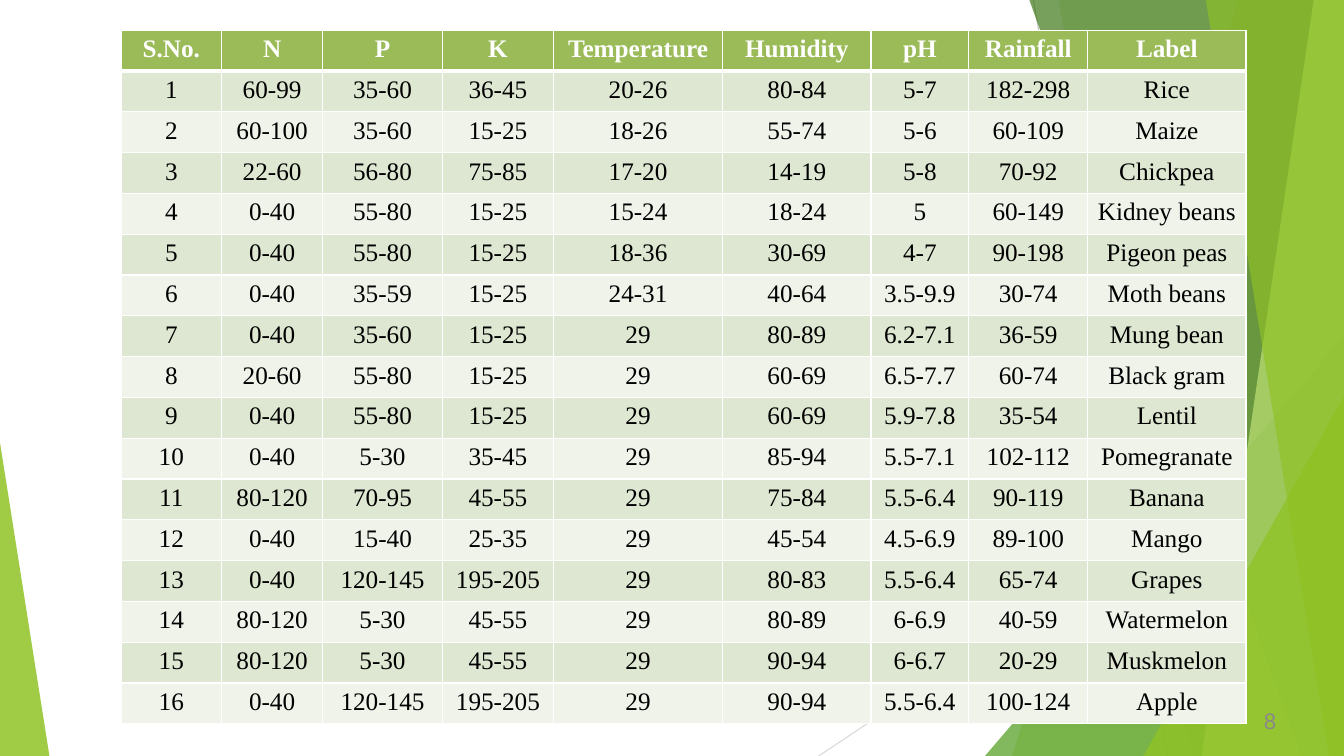
from lxml import etree
from pptx import Presentation
from pptx import util as u
from pptx.dml.color import RGBColor
from pptx.enum import shapes, text
from pptx.oxml.ns import qn

WHITE = RGBColor(0xFF, 0xFF, 0xFF)
BLACK = RGBColor(0, 0, 0)
SILVER = RGBColor(0xBE, 0xBE, 0xBE)
PALE_GRAY = RGBColor(0xD9, 0xD9, 0xD9)
NUMBER_GRAY = RGBColor(0x89, 0x89, 0x89)
LIME = RGBColor(0x90, 0xC2, 0x25)
GREEN = RGBColor(0x53, 0x9F, 0x20)
DARK_GREEN = RGBColor(0x3E, 0x78, 0x18)
LIGHT_LIME = RGBColor(0xC0, 0xE3, 0x74)
HEADER_GREEN = RGBColor(0x9B, 0xBB, 0x59)
BAND_DARK = RGBColor(0xDE, 0xE7, 0xD1)
BAND_LIGHT = RGBColor(0xEF, 0xF3, 0xEA)

presentation = Presentation()
presentation.slide_width = u.Inches(13.33)
presentation.slide_height = u.Inches(7.5)
slide = presentation.slides.add_slide(presentation.slide_layouts[6])


def place(x, y):
    return (round(presentation.slide_width * x / 100),
            round(presentation.slide_height * y / 100))


def add_border(properties, side, points):
    line = etree.SubElement(properties, qn("a:" + side), w=str(u.Pt(points)))
    fill = etree.SubElement(line, qn("a:solidFill"))
    etree.SubElement(fill, qn("a:srgbClr"), val=str(WHITE))


for start, end, color in [
    ((76.89, 0), (86.87, 100), SILVER),
    ((100, 53.73), (60.92, 100), PALE_GRAY),
]:
    line = slide.shapes.add_connector(
        shapes.MSO_CONNECTOR.STRAIGHT, *place(*start), *place(*end))
    line.line.color.rgb = color
    line.line.width = u.Pt(0.75)
    etree.SubElement(line._element.spPr, qn("a:effectLst"))

TOP_RIGHT, BOTTOM_RIGHT = (100, 0), (100, 100)
for corners, color, opacity in [
    ([TOP_RIGHT, (92.12, 0), (75.32, 100), BOTTOM_RIGHT], LIME, 30),
    ([TOP_RIGHT, (78.77, 0), (88.67, 100), BOTTOM_RIGHT], LIME, 20),
    ([(100, 44.4), (73.29, 100), BOTTOM_RIGHT], GREEN, 72),
    ([TOP_RIGHT, (76.59, 0), (96.85, 100), BOTTOM_RIGHT], DARK_GREEN, 70),
    ([TOP_RIGHT, (97.75, 0), (89.42, 100), BOTTOM_RIGHT], LIGHT_LIME, 70),
    ([TOP_RIGHT, (89.72, 0), (98.87, 100), BOTTOM_RIGHT], LIME, 65),
    ([(100, 52.4), (85.07, 100), BOTTOM_RIGHT], LIME, 80),
    ([(0, 58.53), (0, 100), (3.68, 100)], LIME, 85),
]:
    points = [place(*corner) for corner in corners]
    builder = slide.shapes.build_freeform(*points[0])
    builder.add_line_segments(points[1:], close=True)
    facet = builder.convert_to_shape()
    facet.shadow.inherit = False
    facet.line.fill.background()
    facet.fill.solid()
    facet.fill.fore_color.rgb = color
    color_element = facet._element.spPr.find(qn("a:solidFill"))[0]
    etree.SubElement(color_element, qn("a:alpha"), val=str(opacity * 1000))

HEADER = ["S.No.", "N", "P", "K", "Temperature", "Humidity", "pH", "Rainfall", "Label"]
CROPS = [
    ["60-99", "35-60", "36-45", "20-26", "80-84", "5-7", "182-298", "Rice"],
    ["60-100", "35-60", "15-25", "18-26", "55-74", "5-6", "60-109", "Maize"],
    ["22-60", "56-80", "75-85", "17-20", "14-19", "5-8", "70-92", "Chickpea"],
    ["0-40", "55-80", "15-25", "15-24", "18-24", "5", "60-149", "Kidney beans"],
    ["0-40", "55-80", "15-25", "18-36", "30-69", "4-7", "90-198", "Pigeon peas"],
    ["0-40", "35-59", "15-25", "24-31", "40-64", "3.5-9.9", "30-74", "Moth beans"],
    ["0-40", "35-60", "15-25", "29", "80-89", "6.2-7.1", "36-59", "Mung bean"],
    ["20-60", "55-80", "15-25", "29", "60-69", "6.5-7.7", "60-74", "Black gram"],
    ["0-40", "55-80", "15-25", "29", "60-69", "5.9-7.8", "35-54", "Lentil"],
    ["0-40", "5-30", "35-45", "29", "85-94", "5.5-7.1", "102-112", "Pomegranate"],
    ["80-120", "70-95", "45-55", "29", "75-84", "5.5-6.4", "90-119", "Banana"],
    ["0-40", "15-40", "25-35", "29", "45-54", "4.5-6.9", "89-100", "Mango"],
    ["0-40", "120-145", "195-205", "29", "80-83", "5.5-6.4", "65-74", "Grapes"],
    ["80-120", "5-30", "45-55", "29", "80-89", "6-6.9", "40-59", "Watermelon"],
    ["80-120", "5-30", "45-55", "29", "90-94", "6-6.7", "20-29", "Muskmelon"],
    ["0-40", "120-145", "195-205", "29", "90-94", "5.5-6.4", "100-124", "Apple"],
]
COLUMN_SHARES = [7.5, 7.5, 8.93, 8.25, 12.6, 11.03, 7.28, 8.85, 11.78]
ROW_SHARE = 5.4

rows = [HEADER] + [[str(number), *crop] for number, crop in enumerate(CROPS, 1)]
table = slide.shapes.add_table(
    len(rows), len(HEADER), *place(9, 4),
    *place(sum(COLUMN_SHARES), ROW_SHARE * len(rows))).table
for column, share in zip(table.columns, COLUMN_SHARES):
    column.width = place(share, 0)[0]

for row_index, values in enumerate(rows):
    table.rows[row_index].height = place(0, ROW_SHARE)[1]
    is_header = row_index == 0
    band = HEADER_GREEN if is_header else BAND_DARK if row_index % 2 else BAND_LIGHT
    for column_index, value in enumerate(values):
        cell = table.cell(row_index, column_index)
        properties = cell._tc.get_or_add_tcPr()
        add_border(properties, "lnL", 1)
        add_border(properties, "lnR", 1)
        add_border(properties, "lnT", 3 if row_index == 1 else 1)
        add_border(properties, "lnB", 3 if is_header else 1)
        cell.fill.solid()
        cell.fill.fore_color.rgb = band
        cell.text = value
        paragraph = cell.text_frame.paragraphs[0]
        paragraph.alignment = text.PP_ALIGN.CENTER
        paragraph.font.name = "Times New Roman"
        paragraph.font.size = u.Pt(18)
        paragraph.font.bold = is_header
        paragraph.font.color.rgb = WHITE if is_header else BLACK

page_number = slide.shapes.add_textbox(*place(92.5, 92.6), *place(4, 5.4))
frame = page_number.text_frame
frame.word_wrap = True
frame.margin_left = frame.margin_right = 0
frame.vertical_anchor = text.MSO_ANCHOR.MIDDLE
paragraph = frame.paragraphs[0]
paragraph.text = "8"
paragraph.alignment = text.PP_ALIGN.CENTER
paragraph.font.name = "Arial"
paragraph.font.size = u.Pt(16)
paragraph.font.color.rgb = NUMBER_GRAY

presentation.save("out.pptx")
